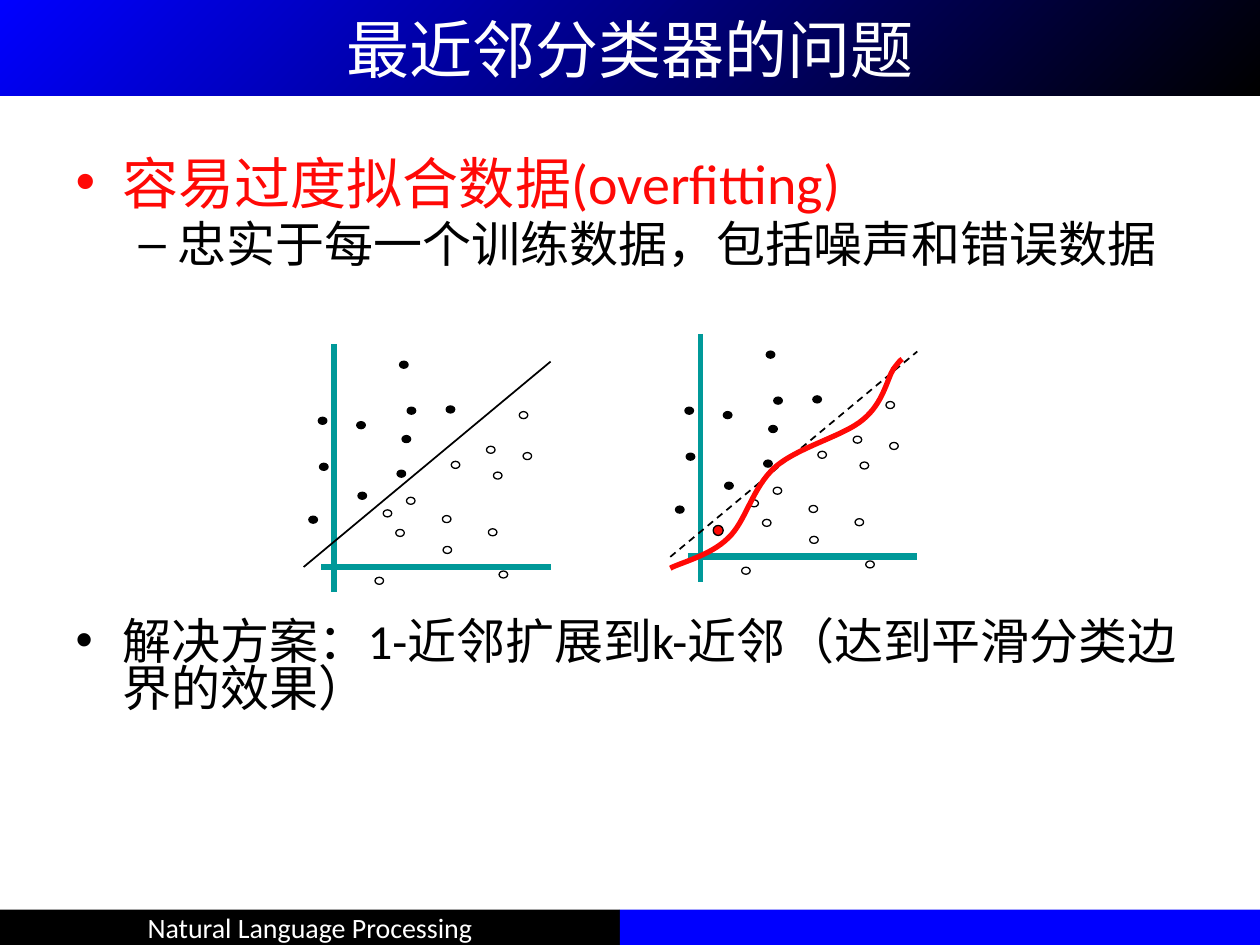
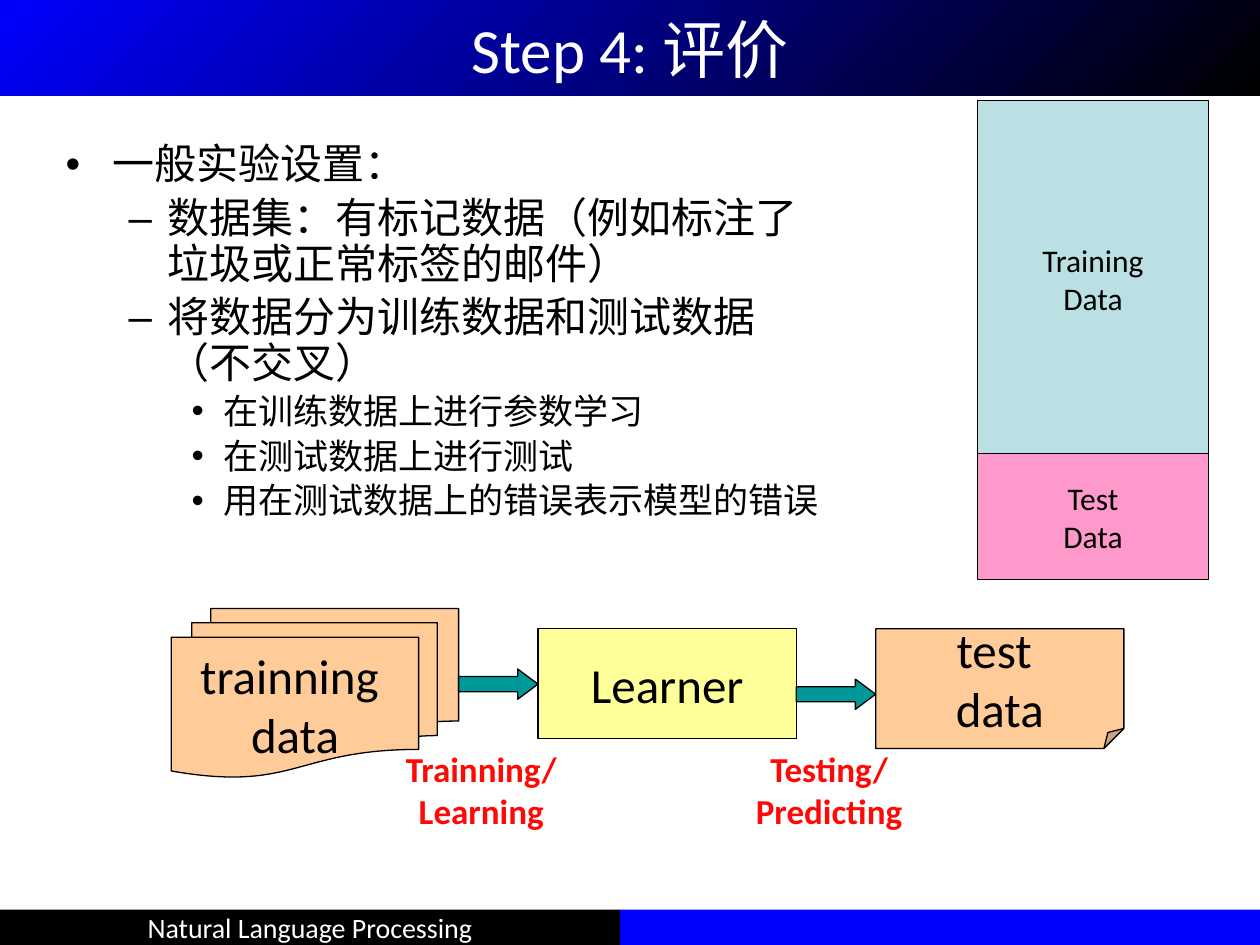
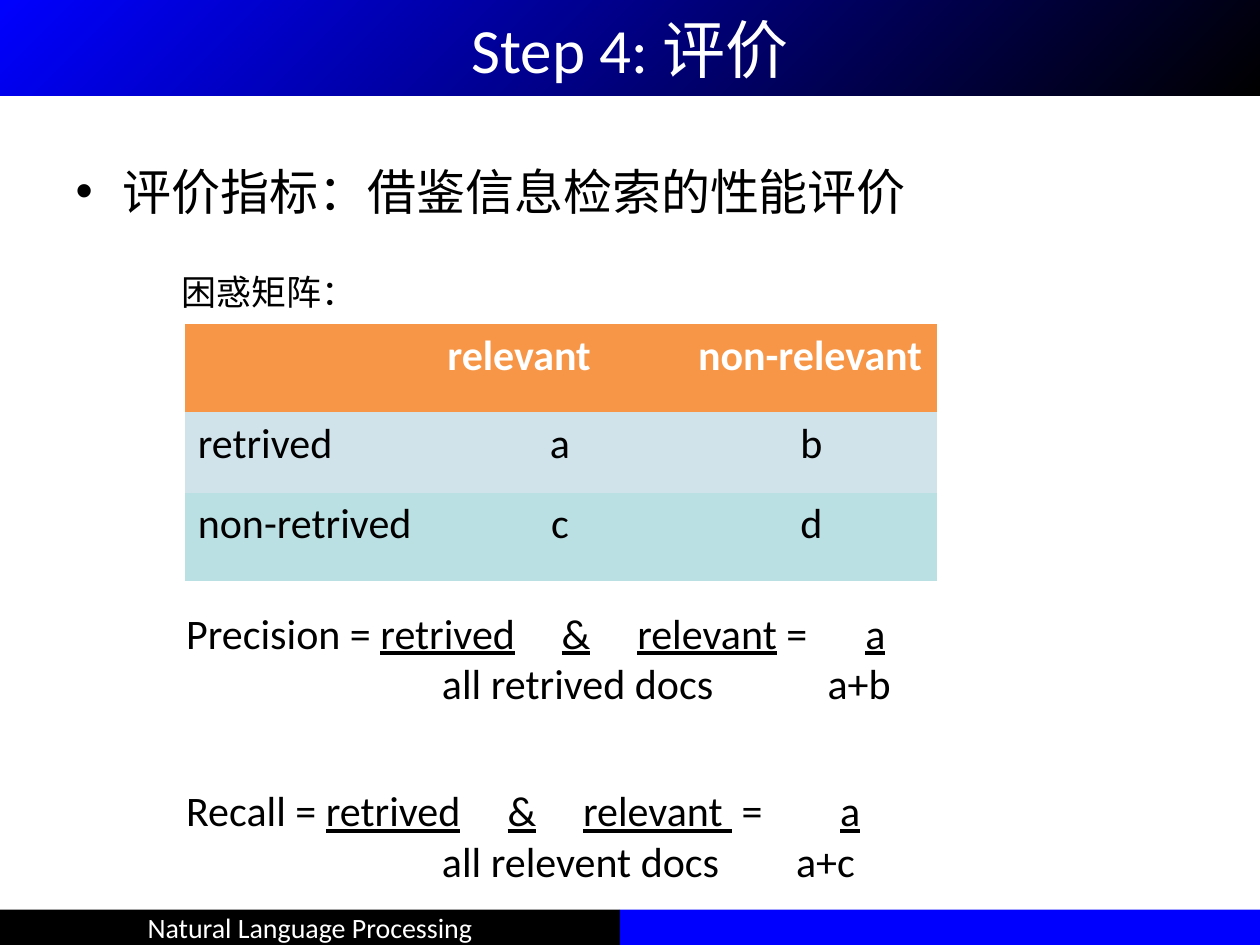
from dataclasses import dataclass
from typing import Optional

from lxml import etree
from pptx import Presentation
from pptx import util as u
from pptx.dml.color import RGBColor
from pptx.enum import dml, shapes, text
from pptx.oxml.ns import qn

# Slide grid: 100 columns by 75 rows of square cells
SLIDE_W, SLIDE_H = u.Inches(10), u.Inches(7.5)
CELL = SLIDE_W // 100

BLACK = RGBColor(0x00, 0x00, 0x00)
WHITE = RGBColor(0xFF, 0xFF, 0xFF)
BLUE = RGBColor(0x00, 0x00, 0xFF)
RED = RGBColor(0xFF, 0x09, 0x06)
TEAL = RGBColor(0x00, 0x99, 0x99)
PEACH = RGBColor(0xFF, 0xCC, 0x99)
YELLOW = RGBColor(0xFF, 0xFF, 0x99)
PINK = RGBColor(0xFF, 0x99, 0xCC)
PALE_TEAL = RGBColor(0xBB, 0xE0, 0xE3)
PALE_BLUE = RGBColor(0xD0, 0xE3, 0xEA)
ORANGE = RGBColor(0xF7, 0x96, 0x46)

FONT = "Calibri"
CJK_FONT = "Noto Sans CJK SC"
NO_TABLE_STYLE = "{2D5ABB26-0587-4C30-8999-92F81FD0307C}"
INDENTS = [(3.75, -3.75), (8.12, -3.12), (12.5, -2.5)]  # margin, first line
CENTER = text.PP_ALIGN.CENTER
SHAPE = shapes.MSO_SHAPE


@dataclass
class Box:
    col: float
    row: float
    cols: float
    rows: float

    def emu(self) -> tuple:
        return tuple(cells(n) for n in (self.col, self.row, self.cols, self.rows))


@dataclass
class Item:
    words: str
    level: int = 0
    size: float = 28
    color: RGBColor = BLACK
    before: Optional[float] = None


@dataclass
class Block:
    kind: int
    box: Box
    fill: RGBColor
    lines: tuple = ()
    size: float = 28
    adjust: tuple = ()


@dataclass
class Dot:
    x: float
    y: float
    fill: RGBColor
    w: float = 0.68
    h: float = 0.56


@dataclass
class Plot:
    """Axes crossing at a grid point; x runs right and y runs up."""
    col: float
    row: float

    def at(self, x: float, y: float) -> tuple:
        return cells(self.col + x), cells(self.row - y)


def cells(n: float) -> u.Emu:
    return u.Emu(round(n * CELL))


# Shared text and shape helpers
def add_run(p, words: str, *, size: float, color=BLACK, bold=False,
            underline=False, font=FONT) -> None:
    r = p.add_run()
    r.text = words
    f = r.font
    f.name, f.size, f.bold = font, u.Pt(size), bold
    f.color.rgb = color
    if underline:
        f.underline = True


def write(tf, lines, *, align=None, before=None, **fmt) -> None:
    for i, line in enumerate(lines):
        p = tf.add_paragraph() if i else tf.paragraphs[0]
        p.alignment = align
        if before is not None:
            p.space_before = u.Pt(before)
        add_run(p, line, **fmt)


def add_block(parent, b: Block, *, line: Optional[RGBColor] = BLACK, color=BLACK):
    sp = parent.add_shape(b.kind, *b.box.emu())
    sp.shadow.inherit = False
    for i, value in enumerate(b.adjust):
        sp.adjustments[i] = value
    sp.fill.solid()
    sp.fill.fore_color.rgb = b.fill
    if line is None:
        sp.line.fill.background()
    else:
        sp.line.color.rgb = line
        sp.line.width = u.Pt(0.75)
    if b.lines:
        sp.text_frame.word_wrap = False
        sp.text_frame.vertical_anchor = text.MSO_ANCHOR.MIDDLE
        write(sp.text_frame, b.lines, align=CENTER, size=b.size, color=color)
    return sp


def add_textbox(s, box: Box):
    tf = s.shapes.add_textbox(*box.emu()).text_frame
    tf.word_wrap = True
    return tf


def add_line(parent, start: tuple, end: tuple, color: RGBColor, width: float,
             dash=None) -> None:
    c = parent.add_connector(shapes.MSO_CONNECTOR.STRAIGHT, *start, *end)
    c.line.color.rgb = color
    c.line.width = u.Pt(width)
    if dash:
        c.line.dash_style = dash
    etree.SubElement(c.element.spPr, qn("a:effectLst"))


# Shared slide parts
def add_footer(prs, s) -> None:
    """Draw the two footer bands and hand them to the slide master."""
    bands = [Block(SHAPE.RECTANGLE, Box(0, 72.2, 49.2, 2.8), BLACK,
                   ("Natural Language Processing",), 16),
             Block(SHAPE.RECTANGLE, Box(49.2, 72.2, 50.8, 2.8), BLUE)]
    for i, band in enumerate(bands):
        sp = add_block(s.shapes, band, line=None, color=WHITE)
        sp.element.nvSpPr.cNvPr.set("id", str(20 + i))
        prs.slide_master.shapes.element.append(sp.element)


def place(sp, box: Box) -> None:
    sp.left, sp.top, sp.width, sp.height = box.emu()


def add_slide(prs, title: str):
    s = prs.slides.add_slide(prs.slide_layouts[1])
    sp = s.shapes.title
    place(sp, Box(0, 0, 100, 7.6))
    sp.fill.gradient()
    sp.fill.gradient_angle = 315
    for stop, color in zip(sp.fill.gradient_stops, (BLUE, BLACK)):
        stop.color.rgb = color
    tf = sp.text_frame
    tf.auto_size = text.MSO_AUTO_SIZE.NONE
    tf.vertical_anchor = text.MSO_ANCHOR.MIDDLE
    write(tf, [title], align=CENTER, size=36, color=WHITE)
    return s


def fill_body(s, box: Box, items: list, spacing: float = 1.0) -> None:
    sp = s.placeholders[1]
    place(sp, box)
    tf = sp.text_frame
    tf.auto_size = text.MSO_AUTO_SIZE.NONE
    for i, item in enumerate(items):
        p = tf.add_paragraph() if i else tf.paragraphs[0]
        p.level = item.level
        p.line_spacing = spacing
        p.space_before = u.Pt(item.size * 0.2 if item.before is None else item.before)
        margin, first = INDENTS[item.level]
        pPr = p._p.get_or_add_pPr()
        pPr.set("marL", str(cells(margin)))
        pPr.set("indent", str(cells(first)))
        add_run(p, item.words, size=item.size, color=item.color)


# Slide 1: scatter plots with a straight and an overfitted boundary
FILLED = [(-1.65, 3.75), (5.75, 10.15), (9.25, 12.5), (5.35, 7.4), (6.15, 12.4),
          (2.25, 5.65), (2.15, 11.25), (5.55, 16.05), (-0.9, 11.6), (-0.8, 7.95)]
OPEN = [(4.25, 4.25), (15.05, 12.05), (5.25, 2.7), (12.6, 2.75), (9.65, 8.1),
        (6.1, 5.25), (8.95, 3.8), (12.45, 9.3), (3.6, -1.1), (13.45, -0.6),
        (15.35, 8.8), (13, 7.25), (9, 1.35)]
DOTS = [Dot(*c, BLACK) for c in FILLED] + [Dot(*c, WHITE) for c in OPEN]
NOISE = Dot(1.4, 2.1, RED, 0.8, 0.8)
# Start point, then two control points and an end point per segment
OVERFIT = [(-2.4, -0.9),
           (-1.7, -0.5), (0.8, 0.1), (2.2, 1.5),
           (3.6, 2.8), (4.1, 5.5), (5.9, 7.1),
           (7.7, 8.7), (11.4, 9.6), (12.9, 10.9),
           (14.5, 12.2), (14.8, 14.1), (15.3, 14.9),
           (15.9, 15.7), (15.9, 15.6), (16, 15.7)]


def add_dot(parent, plot: Plot, d: Dot) -> None:
    box = Box(plot.col + d.x - d.w / 2, plot.row - d.y - d.h / 2, d.w, d.h)
    add_block(parent, Block(SHAPE.OVAL, box, d.fill))


def add_curve(parent, points: list, color: RGBColor, width: float) -> None:
    start, *rest = points
    builder = parent.build_freeform(*start)
    builder.add_line_segments(rest, close=False)
    sp = builder.convert_to_shape()
    segments = list(sp.element.iter(qn("a:lnTo")))
    outline = segments[0].getparent()
    for i in range(0, len(segments), 3):
        bezier = etree.SubElement(outline, qn("a:cubicBezTo"))
        for segment in segments[i:i + 3]:
            bezier.append(segment[0])
            outline.remove(segment)
    sp.shadow.inherit = False
    sp.fill.background()
    sp.line.color.rgb = color
    sp.line.width = u.Pt(width)


def add_plot(s, plot: Plot, overfit: bool = False) -> None:
    g = s.shapes.add_group_shape().shapes
    add_line(g, plot.at(0, 17.7), plot.at(0, -2), TEAL, 3)
    add_line(g, plot.at(-1, 0), plot.at(17.2, 0), TEAL, 4)
    for d in DOTS:
        add_dot(g, plot, d)
    dash = dml.MSO_LINE.DASH if overfit else None
    add_line(g, plot.at(-2.4, 0), plot.at(17.2, 16.3), BLACK, 1, dash)
    if overfit:
        add_curve(g, [plot.at(*c) for c in OVERFIT], RED, 3)
        add_dot(g, plot, NOISE)


def build_overfitting(prs):
    s = add_slide(prs, "最近邻分类器的问题")
    fill_body(s, Box(5, 12.3, 90, 54.7), [
        Item("容易过度拟合数据(overfitting)", size=32, color=RED),
        Item("忠实于每一个训练数据，包括噪声和错误数据", 1),
        Item("解决方案：1-近邻扩展到k-近邻（达到平滑分类边界的效果）", before=200),
    ], spacing=0.8)
    add_plot(s, Plot(26.5, 45))
    add_plot(s, Plot(55.6, 44.2), overfit=True)
    return s


# Slide 2: experiment set-up, data split and learning flow
def build_setup(prs) -> None:
    s = add_slide(prs, "Step 4: 评价")
    fill_body(s, Box(4.2, 10.9, 62.7, 33.1), [
        Item("一般实验设置：", 0, 24),
        Item("数据集：有标记数据（例如标注了垃圾或正常标签的邮件）", 1, 24),
        Item("将数据分为训练数据和测试数据（不交叉）", 1, 24),
        Item("在训练数据上进行参数学习", 2, 20),
        Item("在测试数据上进行测试", 2, 20),
        Item("用在测试数据上的错误表示模型的错误", 2, 20),
    ], spacing=0.9)

    arrow = (0.5, 0.67)
    flow = [
        Block(SHAPE.FLOWCHART_MULTIDOCUMENT, Box(13.6, 48.3, 22.8, 13.4), PEACH,
              ("trainning ", "data")),
        Block(SHAPE.RIGHT_ARROW, Box(36.4, 53.1, 6.3, 2.4), TEAL, adjust=arrow),
        Block(SHAPE.RECTANGLE, Box(42.7, 49.9, 20.5, 8.7), YELLOW, ("Learner",)),
        Block(SHAPE.FOLDED_CORNER, Box(69.5, 49.9, 19.7, 9.5), PEACH,
              ("test ", "data")),
        Block(SHAPE.RIGHT_ARROW, Box(63.2, 53.9, 6.3, 2.4), TEAL, adjust=arrow),
    ]
    g = s.shapes.add_group_shape().shapes
    for b in flow:
        add_block(g, b)

    for col, lines in ((30.3, ("Trainning/", "Learning")),
                       (57.9, ("Testing/", "Predicting"))):
        write(add_textbox(s, Box(col, 58.8, 15.8, 7.7)), lines,
              align=CENTER, size=20, color=RED, bold=True)

    for row, rows, fill, word in ((8, 28.3, PALE_TEAL, "Training"),
                                  (36, 10, PINK, "Test")):
        add_block(s.shapes, Block(SHAPE.RECTANGLE, Box(77.6, row, 18.3, rows),
                                  fill, (word, "Data"), 18))


# Slide 3: confusion matrix and measures
MATRIX = [(ORANGE, ("", "relevant", "non-relevant")),
          (PALE_BLUE, ("retrived", "a", "b")),
          (PALE_TEAL, ("non-retrived", "c", "d"))]
# Each formula line: space before, tab stops, (words, underlined) parts
FORMULAS = [
    (0, (29.8, 35.8, 53.9, 56.9),
     (("Precision = ", False), ("retrived\t&\trelevant", True), (" = ", False),
      ("\ta\t", True))),
    (0, (20.3, 50.9), (("\tall retrived docs\ta+b", False),)),
    (44, (25.5, 31.5, 47.3, 51.9, 54.9),
     (("Recall = ", False), ("retrived\t&\trelevant ", True), (" =\t", False),
      ("\ta\t", True))),
    (0, (20.3, 48.4), (("\tall relevent docs\ta+c", False),)),
]


def set_tabs(p, stops: tuple) -> None:
    tabs = etree.SubElement(p._p.get_or_add_pPr(), qn("a:tabLst"))
    for stop in stops:
        etree.SubElement(tabs, qn("a:tab"), pos=str(cells(stop)), algn="l")


def add_matrix(s) -> None:
    frame = s.shapes.add_table(3, 3, *Box(14.7, 25.7, 59.7, 20.4).emu())
    frame.element.find(".//" + qn("a:tableStyleId")).text = NO_TABLE_STYLE
    table = frame.table
    for column, width in zip(table.columns, (19.8, 19.9, 20)):
        column.width = cells(width)
    for row, height in zip(table.rows, (7, 6.4, 7)):
        row.height = cells(height)
    for i, (fill, words) in enumerate(MATRIX):
        for j, word in enumerate(words):
            cell = table.cell(i, j)
            cell.fill.solid()
            cell.fill.fore_color.rgb = fill
            if word:
                write(cell.text_frame, [word], size=24, before=4.8, bold=i == 0,
                      color=BLACK if i else WHITE, align=CENTER if i and j else None)


def build_measures(prs) -> None:
    s = add_slide(prs, "Step 4: 评价")
    fill_body(s, Box(5, 12.3, 86, 54.7), [Item("评价指标：借鉴信息检索的性能评价")])
    add_matrix(s)
    write(add_textbox(s, Box(13.4, 21, 31.1, 4.4)), ["困惑矩阵："], size=20, font=CJK_FONT)
    tf = add_textbox(s, Box(13.8, 47.7, 77.6, 23))
    for i, (before, stops, parts) in enumerate(FORMULAS):
        p = tf.add_paragraph() if i else tf.paragraphs[0]
        p.space_before = u.Pt(before)
        set_tabs(p, stops)
        for words, underline in parts:
            add_run(p, words, size=24, underline=underline)


def main() -> None:
    prs = Presentation()
    prs.slide_width, prs.slide_height = SLIDE_W, SLIDE_H
    add_footer(prs, build_overfitting(prs))
    build_setup(prs)
    build_measures(prs)
    prs.save("out.pptx")


if __name__ == "__main__":
    main()
